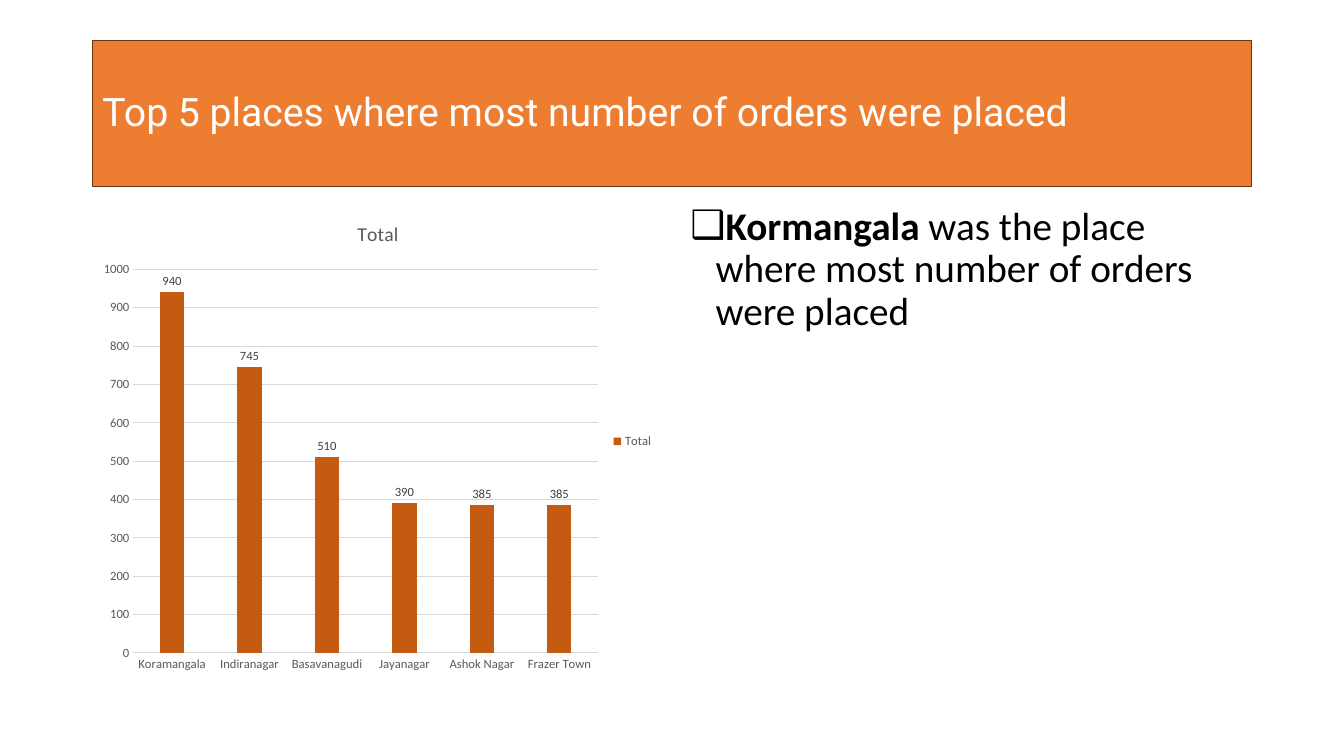
import pptx
import pptx.chart.data
import pptx.dml.color
import pptx.enum.chart
import pptx.enum.text
import pptx.oxml
import pptx.oxml.ns
import pptx.util

Pt = pptx.util.Pt
RGB = pptx.dml.color.RGBColor
enum = pptx.enum.chart

WHITE = RGB(0xFF, 0xFF, 0xFF)
BLACK = RGB(0x00, 0x00, 0x00)
ORANGE = RGB(0xED, 0x7D, 0x31)
BROWN = RGB(0x68, 0x37, 0x15)
RUST = RGB(0xC5, 0x5A, 0x11)
GRAY = RGB(0x59, 0x59, 0x59)
DARK = RGB(0x40, 0x40, 0x40)
PALE = RGB(0xD9, 0xD9, 0xD9)

LEFT, TOP, WIDE, HIGH = 66, 144, 408, 342.6
ORDERS = {
    "Koramangala": 940, "Indiranagar": 745, "Basavanagudi": 510,
    "Jayanagar": 390, "Ashok Nagar": 385, "Frazer Town": 385,
}


def apply(item, form):
    for name, value in form.items():
        setattr(item, name, value)


class Deck:
    """Holds the text style and the current slide."""

    def __init__(self, wide, high):
        self.file = pptx.Presentation()
        apply(self.file, {"slide_width": Pt(wide), "slide_height": Pt(high)})
        self.slide = self.file.slides.add_slide(self.file.slide_layouts[1])

    def font(self, font, size, color, face="Calibri", bold=False):
        apply(font, {"name": face, "size": Pt(size), "bold": bold})
        font.color.rgb = color

    def line(self, line, color, width):
        line.color.rgb = color
        line.width = Pt(width)

    def place(self, shape, box, anchor):
        names = ("left", "top", "width", "height")
        apply(shape, dict(zip(names, map(Pt, box))))
        apply(shape.text_frame, {
            "word_wrap": True, "vertical_anchor": anchor,
            "auto_size": pptx.enum.text.MSO_AUTO_SIZE.NONE,
        })
        return shape.text_frame.paragraphs[0]

    def words(self, para, text, **form):
        run = para.add_run()
        run.text = text
        self.font(run.font, **form)

    def title(self, text, box):
        shape = self.slide.shapes.title
        para = self.place(shape, box, pptx.enum.text.MSO_ANCHOR.MIDDLE)
        shape.fill.solid()
        shape.fill.fore_color.rgb = ORANGE
        self.line(shape.line, BROWN, 1)
        apply(para, {"alignment": pptx.enum.text.PP_ALIGN.LEFT,
                     "line_spacing": 0.9})
        self.words(para, text, size=28, color=WHITE, face="Roboto")

    def body(self, parts, box):
        shape = self.slide.placeholders[1]
        para = self.place(shape, box, pptx.enum.text.MSO_ANCHOR.TOP)
        apply(para, {"line_spacing": 0.9, "space_before": Pt(10)})
        for text, bold in parts:
            self.words(para, text, size=28, color=BLACK, bold=bold)
        # Hanging square bullet
        props = para._p.get_or_add_pPr()
        props.set("marL", str(Pt(18)))
        props.set("indent", str(-Pt(18)))
        mark = pptx.oxml.parse_xml(
            "<a:buChar %s char='❑'/>" % pptx.oxml.ns.nsdecls("a"))
        props.append(mark)

    def chart(self, name, values, box):
        data = pptx.chart.data.CategoryChartData()
        data.categories = list(values)
        data.add_series(name, list(values.values()))
        frame = self.slide.shapes.add_chart(
            enum.XL_CHART_TYPE.COLUMN_CLUSTERED, *map(Pt, box), data)
        chart = frame.chart
        self.font(chart.font, 10, BLACK)

        # Title and legend
        apply(chart, {"has_title": True, "has_legend": True})
        para = chart.chart_title.text_frame.paragraphs[0]
        self.words(para, name, size=14, color=GRAY)
        apply(chart.legend, {"position": enum.XL_LEGEND_POSITION.RIGHT,
                             "include_in_layout": False})
        self.font(chart.legend.font, 9, GRAY)

        # Axes
        none = enum.XL_TICK_MARK.NONE
        for axis in (chart.category_axis, chart.value_axis):
            apply(axis, {"major_tick_mark": none, "minor_tick_mark": none})
            self.font(axis.tick_labels.font, 9, GRAY)
        self.line(chart.category_axis.format.line, PALE, 0.75)
        axis = chart.value_axis
        apply(axis, {"minimum_scale": 0, "maximum_scale": 1000,
                     "major_unit": 100})
        axis.format.line.fill.background()
        self.line(axis.major_gridlines.format.line, PALE, 0.75)

        # Columns and labels
        plot = chart.plots[0]
        apply(plot, {"gap_width": 219, "overlap": -27,
                     "vary_by_categories": False})
        bars = plot.series[0]
        bars.format.fill.solid()
        bars.format.fill.fore_color.rgb = RUST
        apply(bars.data_labels, {
            "show_value": True,
            "position": enum.XL_LABEL_POSITION.OUTSIDE_END,
        })
        self.font(bars.data_labels.font, 9, DARK)


def main():
    deck = Deck(960, 540)
    deck.title("Top 5 places where most number of orders were placed",
               (LEFT, 28.75, 828, 104.4))
    deck.body([("Kormangala ", True),
               ("was the place where most number of orders were placed",
                False)],
              (486, TOP, WIDE, HIGH))
    deck.chart("Total", ORDERS, (LEFT, TOP, WIDE, HIGH))
    deck.file.save("out.pptx")


if __name__ == "__main__":
    main()
